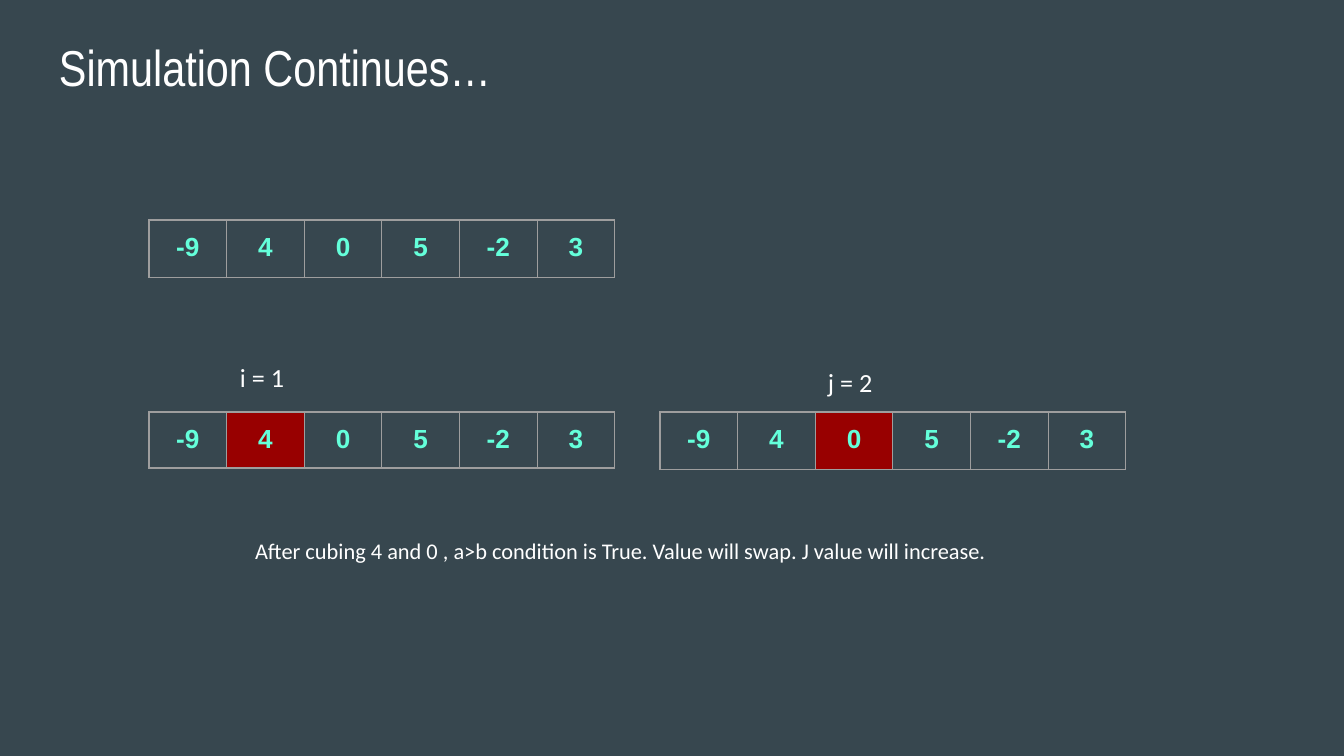
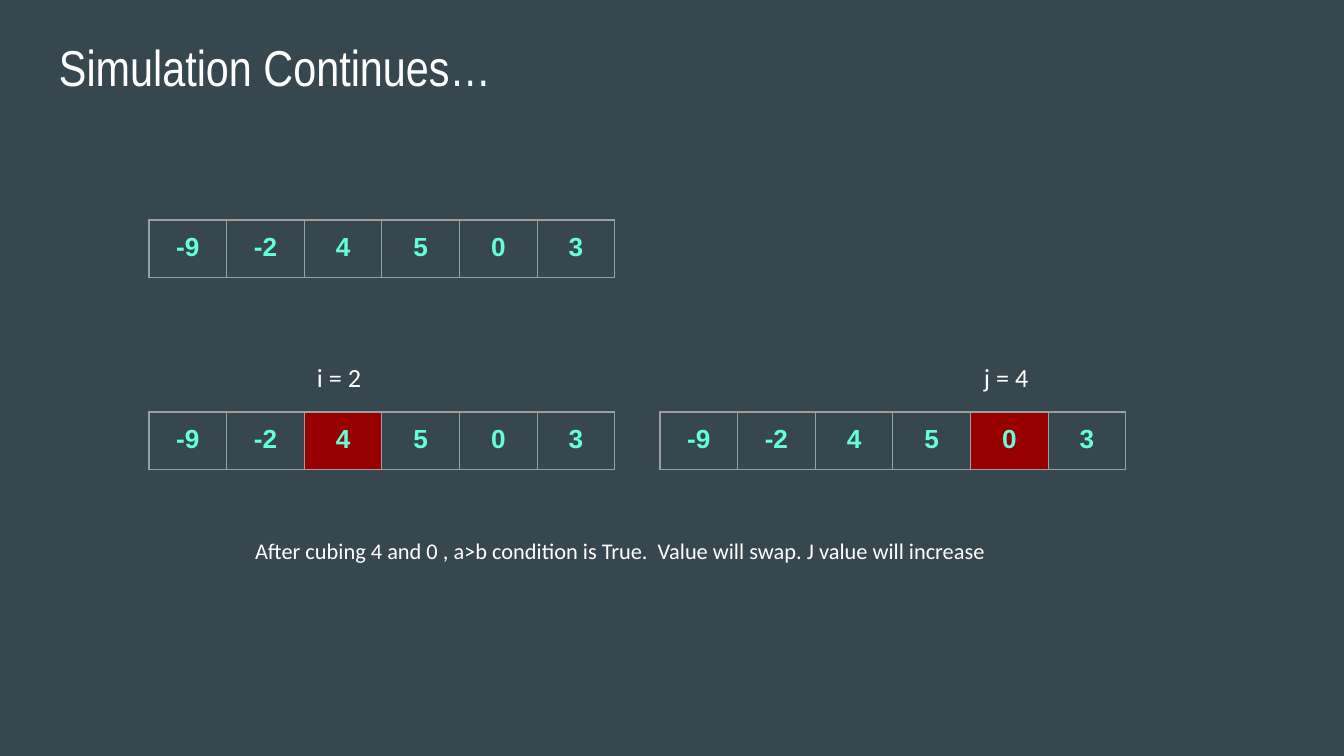
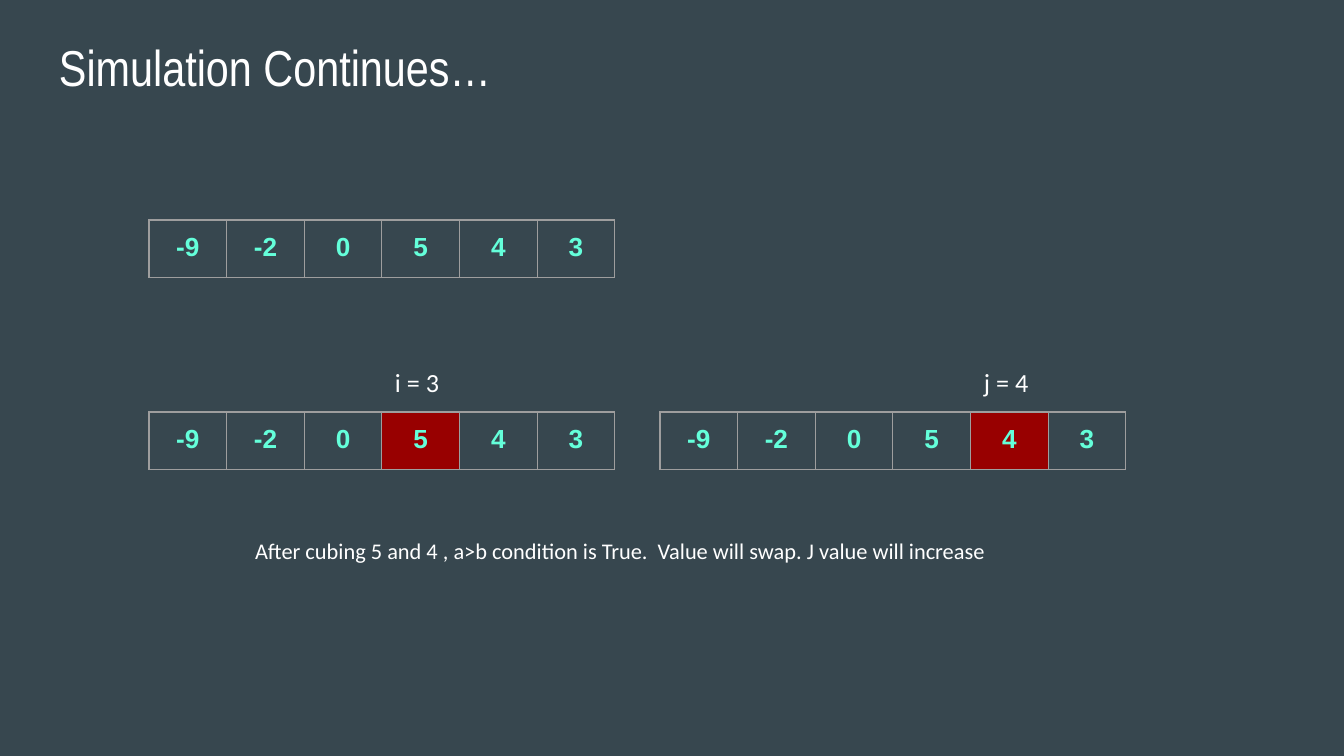
from lxml.etree import SubElement
from pptx import Presentation
from pptx.dml.color import RGBColor
from pptx.enum.text import MSO_AUTO_SIZE as AutoSize, PP_ALIGN as Align
from pptx.oxml.ns import qn
from pptx.util import Pt

EMU_PER_PX = 914400 / 134.4
SLATE = RGBColor(0x37, 0x47, 0x4F)
WHITE = RGBColor(0xFF, 0xFF, 0xFF)
MINT = RGBColor(0x64, 0xFF, 0xDA)
DARK_RED = RGBColor(0x98, 0x00, 0x00)
GREY = RGBColor(0x9E, 0x9E, 0x9E)

INSET = 13
ARRAY_WIDTH, ARRAY_HEIGHT = 466, 56
LEFT_X, RIGHT_X = 149, 660
CURRENT_Y, COMPARED_Y = 220, 412
HIGH_LABEL, LOW_LABEL = 348, 353

# Array, (i, label top), (j, label top), explanation
STEPS = [
    ([-9, 4, 0, 5, -2, 3], (1, HIGH_LABEL), (2, LOW_LABEL),
     "After cubing 4 and 0 , a>b condition is True. Value will swap. J value will increase."),
    ([-9, -2, 4, 5, 0, 3], (2, HIGH_LABEL), (4, HIGH_LABEL),
     "After cubing 4 and 0 , a>b condition is True.  Value will swap. J value will increase"),
    ([-9, -2, 0, 5, 4, 3], (3, LOW_LABEL), (4, LOW_LABEL),
     "After cubing 5 and 4 , a>b condition is True.  Value will swap. J value will increase"),
]


def px(length):
    return round(length * EMU_PER_PX)


def style(paragraph, font_name, size, color, bold=False):
    for run in paragraph.runs:
        run.font.name = font_name
        run.font.size = Pt(size)
        run.font.color.rgb = color
        run.font.bold = bold


def add_text(slide, text, x, y, width, height, font_name, size, grow=True):
    box = slide.shapes.add_textbox(px(x), px(y), px(width), px(height))
    frame = box.text_frame
    frame.word_wrap = True
    frame.auto_size = AutoSize.SHAPE_TO_FIT_TEXT if grow else AutoSize.NONE
    frame.margin_left = frame.margin_right = px(INSET)
    frame.margin_top = frame.margin_bottom = px(INSET)
    frame.text = text
    style(frame.paragraphs[0], font_name, size, WHITE)


def add_borders(cell):
    properties = cell._tc.get_or_add_tcPr()
    for side in ("lnL", "lnR", "lnT", "lnB"):
        line = SubElement(properties, qn(f"a:{side}"), w=str(Pt(0.75)))
        fill = SubElement(line, qn("a:solidFill"))
        SubElement(fill, qn("a:srgbClr"), val=str(GREY))


def add_array(slide, values, x, y, highlighted=None):
    """Draw the values as a one-row table with at most one red cell."""
    table = slide.shapes.add_table(1, len(values), px(x), px(y),
                                   px(ARRAY_WIDTH), px(ARRAY_HEIGHT)).table
    table.first_row = table.horz_banding = False
    for index, value in enumerate(values):
        table.columns[index].width = px(ARRAY_WIDTH / len(values))
        cell = table.cell(0, index)
        cell.margin_left = cell.margin_right = px(INSET)
        cell.margin_top = cell.margin_bottom = px(INSET)
        add_borders(cell)
        cell.fill.solid()
        cell.fill.fore_color.rgb = DARK_RED if index == highlighted else SLATE
        cell.text_frame.text = str(value)
        paragraph = cell.text_frame.paragraphs[0]
        paragraph.alignment = Align.CENTER
        style(paragraph, "Arial", 14, MINT, bold=True)


def add_pointed_array(slide, values, x, pointer, index, label_y):
    """Draw the array with its pointer label above the highlighted cell."""
    add_array(slide, values, x, COMPARED_Y, index)
    cell_width = ARRAY_WIDTH / len(values)
    add_text(slide, f"{pointer} = {index}", x + round(index * cell_width), label_y,
             78, 59, "Calibri", 14)


def add_step(deck, values, i_pointer, j_pointer, explanation):
    slide = deck.slides.add_slide(deck.slide_layouts[6])
    slide.background.fill.solid()
    slide.background.fill.fore_color.rgb = SLATE
    add_text(slide, "Simulation Continues…", 46, 23, 1252, 85, "Arial Narrow", 27, grow=False)
    add_pointed_array(slide, values, LEFT_X, "i", *i_pointer)
    add_pointed_array(slide, values, RIGHT_X, "j", *j_pointer)
    add_text(slide, explanation, 242, 524, 878, 54, "Calibri", 12)
    add_array(slide, values, LEFT_X, CURRENT_Y)


def main():
    deck = Presentation()
    deck.slide_width, deck.slide_height = px(1344), px(756)
    for step in STEPS:
        add_step(deck, *step)
    deck.save("out.pptx")


if __name__ == "__main__":
    main()
